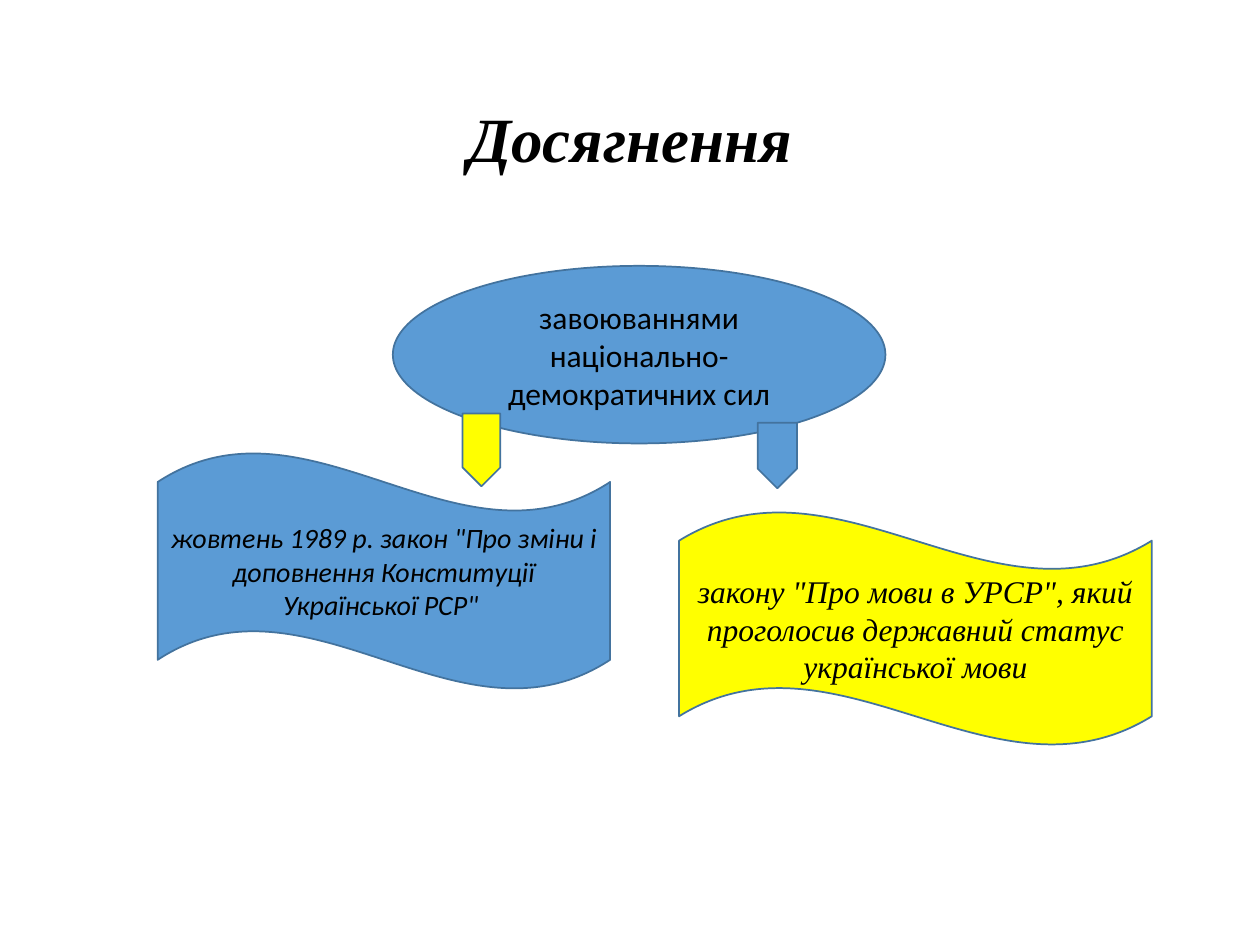
from dataclasses import dataclass

import pptx
import pptx.dml.color
import pptx.enum.shapes
import pptx.enum.text
import pptx.util

Cm = pptx.util.Cm
Pt = pptx.util.Pt
Preset = pptx.enum.shapes.MSO_SHAPE

COLOURS = {"blue": "5B9BD5", "yellow": "FFFF00", "outline": "43739E", "text": "000000"}


@dataclass
class Figure:
    """A filled preset shape; frame is left, top, width, height in centimetres."""
    preset: Preset
    frame: tuple[float, float, float, float]
    fill: str
    text: str = ""
    size: int = 18
    font: str = "Calibri"
    italic: bool = False
    rotation: int = 0


FIGURES = [
    Figure(Preset.OVAL, (7.92, 5.36, 9.93, 3.58), "blue",
           "завоюваннями національно-демократичних сил"),
    Figure(Preset.WAVE, (3.18, 9.12, 9.12, 4.78), "blue",
           'жовтень 1989 р. закон "Про зміни і доповнення Конституції Української РСР" ',
           size=16, italic=True),
    Figure(Preset.WAVE, (13.69, 10.31, 9.53, 4.72), "yellow",
           'закону "Про мови в УРСР", який проголосив державний статус української мови',
           font="Times New Roman", italic=True),
    Figure(Preset.PENTAGON, (15.01, 8.79, 1.32, 0.79), "blue", rotation=90),
    Figure(Preset.PENTAGON, (8.97, 8.69, 1.47, 0.76), "yellow", rotation=90),
]


def colour(name: str) -> pptx.dml.color.RGBColor:
    return pptx.dml.color.RGBColor.from_string(COLOURS[name])


def write_centred(shape, text: str, font: str, size: int, bold: bool, italic: bool) -> None:
    frame = shape.text_frame
    frame.text = text
    frame.word_wrap = True
    frame.vertical_anchor = pptx.enum.text.MSO_ANCHOR.MIDDLE
    paragraph = frame.paragraphs[0]
    paragraph.alignment = pptx.enum.text.PP_ALIGN.CENTER
    for run in paragraph.runs:
        run.font.name = font
        run.font.size = Pt(size)
        run.font.bold = bold
        run.font.italic = italic
        run.font.color.rgb = colour("text")


def draw_figure(slide, figure: Figure) -> None:
    shape = slide.shapes.add_shape(figure.preset, *map(Cm, figure.frame))
    shape.rotation = figure.rotation
    shape.shadow.inherit = False
    shape.fill.solid()
    shape.fill.fore_color.rgb = colour(figure.fill)
    shape.line.color.rgb = colour("outline")
    shape.line.width = Pt(1)
    if figure.text:
        write_centred(shape, figure.text, figure.font, figure.size, False, figure.italic)


def main() -> None:
    presentation = pptx.Presentation()
    presentation.slide_width = Cm(25.4)
    presentation.slide_height = Cm(19.05)
    slide = presentation.slides.add_slide(presentation.slide_layouts[5])

    title = slide.shapes.title
    title.left, title.top, title.width, title.height = map(Cm, (1.75, 1.02, 21.9, 3.68))
    write_centred(title, "Досягнення", "Times New Roman", 36, True, True)
    title.text_frame.paragraphs[0].line_spacing = 0.9

    for figure in FIGURES:
        draw_figure(slide, figure)
    presentation.save("out.pptx")


if __name__ == "__main__":
    main()
